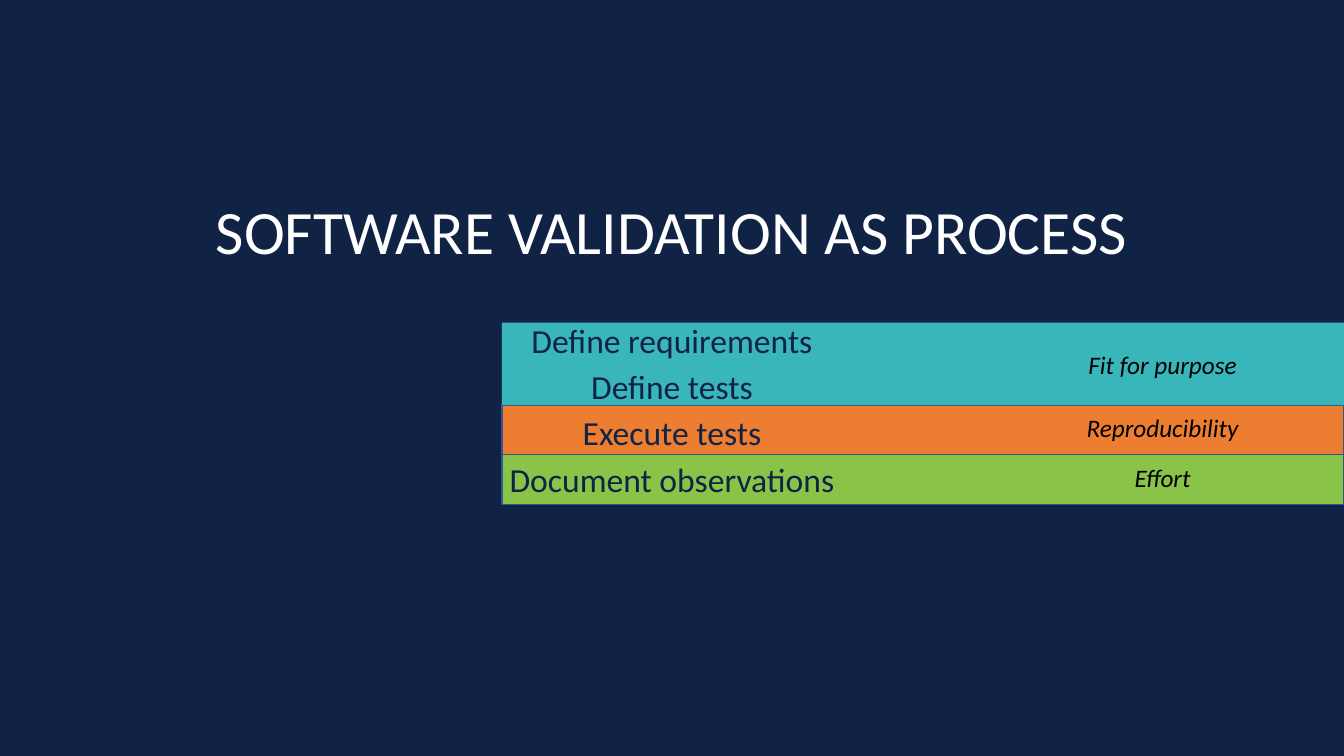
from pptx import Presentation
from pptx.dml.color import RGBColor
from pptx.enum.shapes import MSO_SHAPE
from pptx.enum.text import MSO_ANCHOR, PP_ALIGN
from pptx.util import Cm, Pt

RECTANGLE = MSO_SHAPE.RECTANGLE
TOP, BOTTOM = MSO_ANCHOR.TOP, MSO_ANCHOR.BOTTOM
CENTER = PP_ALIGN.CENTER

TITLE = "SOFTWARE VALIDATION AS PROCESS"
STEPS = ["Define requirements", "Define tests", "Execute tests", "Document observations"]
# goal, number of steps covered, band colour, outlined, label offset from band top (cm)
BANDS = [
    ("Fit for purpose", 2, "teal", False, 0.56),
    ("Reproducibility", 1, "orange", True, 0.06),
    ("Effort", 1, "green", True, 0.06),
]
COLORS = {
    "navy": "112345",
    "teal": "39B6B9",
    "orange": "ED7D31",
    "green": "89C348",
    "outline": "325491",
    "white": "FFFFFF",
    "black": "000000",
}
FONT = "Calibri"
SLIDE_WIDTH, SLIDE_HEIGHT = 33.87, 19.05
BANDS_LEFT, BANDS_TOP = 12.65, 8.13
STEP_HEIGHT = 1.04
BAND_HEIGHT = 1.25
LABEL_LEFT, LABEL_WIDTH, LABEL_HEIGHT = 26.06, 6.48, 1.02


def color(name):
    return RGBColor.from_string(COLORS[name])


def add_text(slide, text, left, top, width, height, *, size, font_color,
             anchor=TOP, italic=False, line_spacing=1.0, space_before=0):
    """Add a centred text box with one paragraph for each line of text."""
    box = slide.shapes.add_textbox(Cm(left), Cm(top), Cm(width), Cm(height))
    frame = box.text_frame
    frame.word_wrap = True
    frame.vertical_anchor = anchor
    frame.text = text
    for index, paragraph in enumerate(frame.paragraphs):
        paragraph.alignment = CENTER
        paragraph.line_spacing = line_spacing
        paragraph.space_before = Pt(space_before if index else 0)
        paragraph.font.name = FONT
        paragraph.font.size = Pt(size)
        paragraph.font.italic = italic
        paragraph.font.color.rgb = color(font_color)


def add_band(slide, top, height, fill, outlined):
    band = slide.shapes.add_shape(
        RECTANGLE, Cm(BANDS_LEFT), Cm(top), Cm(SLIDE_WIDTH - BANDS_LEFT), Cm(height))
    band.shadow.inherit = False
    band.fill.solid()
    band.fill.fore_color.rgb = color(fill)
    if outlined:
        band.line.color.rgb = color("outline")
        band.line.width = Pt(1)
    else:
        band.line.fill.background()


def main():
    presentation = Presentation()
    presentation.slide_width = Cm(SLIDE_WIDTH)
    presentation.slide_height = Cm(SLIDE_HEIGHT)
    slide = presentation.slides.add_slide(presentation.slide_layouts[6])
    slide.background.fill.solid()
    slide.background.fill.fore_color.rgb = color("navy")

    placed_bands = []
    top = BANDS_TOP
    for goal, step_count, fill, outlined, label_offset in BANDS:
        height = STEP_HEIGHT * step_count if step_count > 1 else BAND_HEIGHT
        placed_bands.append((goal, top, height, fill, outlined, label_offset))
        top += height

    for goal, top, height, fill, outlined, label_offset in reversed(placed_bands):
        add_band(slide, top, height, fill, outlined)

    add_text(slide, TITLE, 0, 4.8, SLIDE_WIDTH, 2.08,
             size=44, font_color="white", anchor=BOTTOM, line_spacing=0.9)
    add_text(slide, "\n".join(STEPS), 0, BANDS_TOP, SLIDE_WIDTH, 5.72,
             size=24, font_color="navy", line_spacing=0.8, space_before=10)
    for goal, top, height, fill, outlined, label_offset in placed_bands:
        add_text(slide, goal, LABEL_LEFT, top + label_offset, LABEL_WIDTH, LABEL_HEIGHT,
                 size=18, font_color="black", italic=True)

    presentation.save("out.pptx")


if __name__ == "__main__":
    main()
